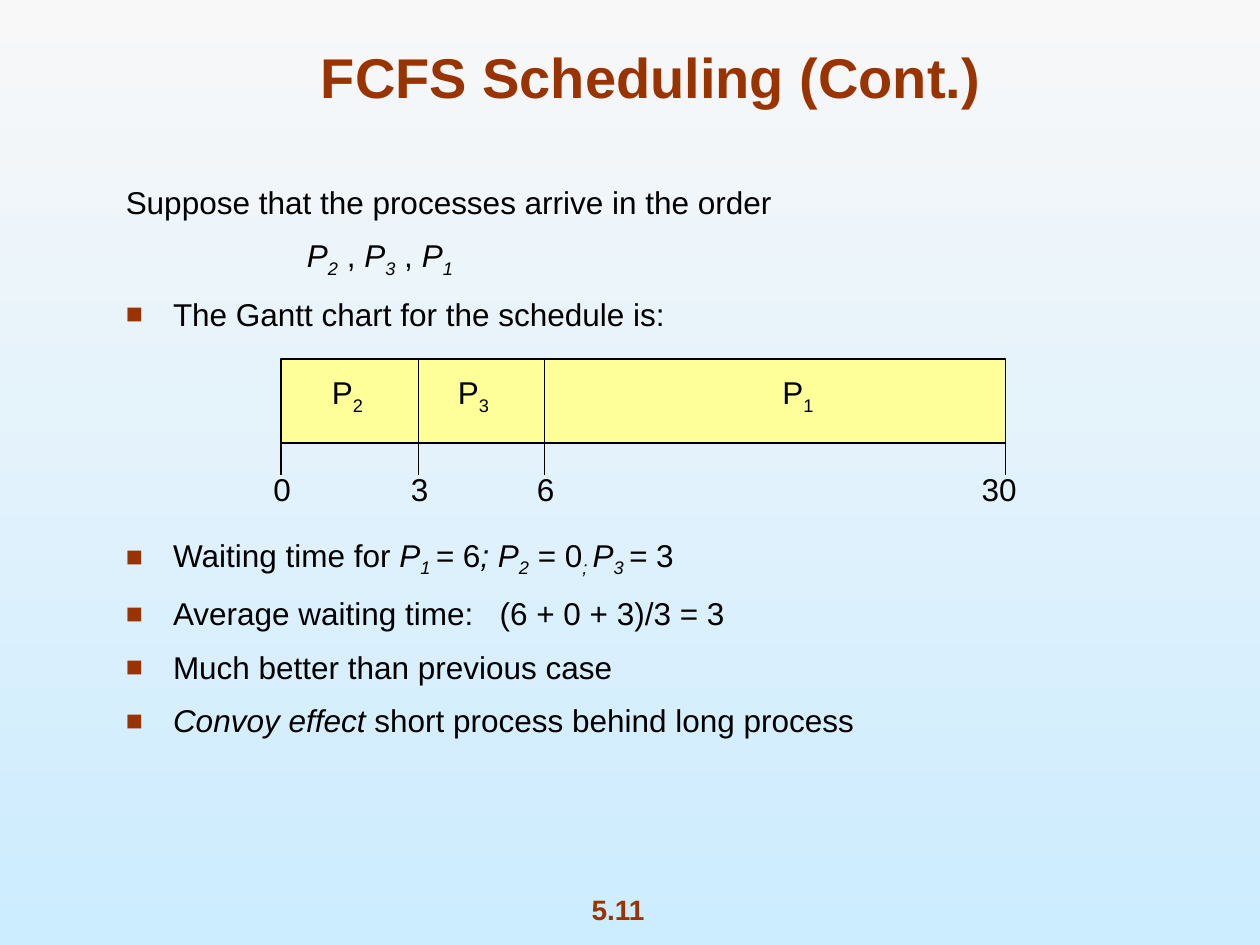
from lxml import etree
from pptx import Presentation
from pptx.dml.color import RGBColor
from pptx.enum.shapes import MSO_CONNECTOR, MSO_SHAPE
from pptx.enum.text import MSO_ANCHOR, PP_ALIGN
from pptx.oxml.ns import qn
from pptx.util import Pt

STRAIGHT = MSO_CONNECTOR.STRAIGHT
RECTANGLE = MSO_SHAPE.RECTANGLE
TOP, MIDDLE, BOTTOM = MSO_ANCHOR.TOP, MSO_ANCHOR.MIDDLE, MSO_ANCHOR.BOTTOM
LEFT, CENTER = PP_ALIGN.LEFT, PP_ALIGN.CENTER

COLORS = {"accent": "993300", "text": "000000", "bar": "FFFF99",
          "sky_top": "F8F8F8", "sky_bottom": "CCECFF"}
FONT = "Arial"
BULLET_INDENT = 27
PARAGRAPH_GAP = 9


def color(name):
    return RGBColor.from_string(COLORS[name])


class SlideBuilder:
    """Holds the text style and the slide being filled; lengths are points."""

    def __init__(self, slide):
        self.slide = slide

    def background(self):
        fill = self.slide.background.fill
        fill.gradient()
        fill.gradient_angle = 270
        for stop, name in zip(fill.gradient_stops, ("sky_top", "sky_bottom")):
            stop.color.rgb = color(name)

    def text_frame(self, left, top, width, height, anchor=TOP, wrap=True):
        box = self.slide.shapes.add_textbox(Pt(left), Pt(top), Pt(width), Pt(height))
        frame = box.text_frame
        frame.word_wrap = wrap
        frame.vertical_anchor = anchor
        return frame

    def fill_paragraph(self, paragraph, runs, size=18, name="text", bold=False, align=LEFT):
        """Fill a paragraph from (text, style) runs; i is italic, s subscript."""
        paragraph.alignment = align
        font = paragraph.font
        font.name, font.size, font.bold = FONT, Pt(size), bold
        font.color.rgb = color(name)
        for text, style in runs:
            run = paragraph.add_run()
            run.text = text
            if "i" in style:
                run.font.italic = True
            if "s" in style:
                run.font._element.set("baseline", "-25000")

    def label(self, center_x, center_y, runs, width=36, height=30, **style):
        frame = self.text_frame(center_x - width / 2, center_y - height / 2,
                                width, height, MIDDLE, wrap=False)
        self.fill_paragraph(frame.paragraphs[0], runs, align=CENTER, **style)

    def title(self, text):
        frame = self.text_frame(54, 18, 636, 48, BOTTOM)
        self.fill_paragraph(frame.paragraphs[0], [(text, "")], 32, "accent", True, CENTER)

    def body(self, top, height, items):
        """Add (runs, left margin) paragraphs; a margin of None makes a bullet."""
        frame = self.text_frame(64.8, top, 579, height)
        for index, (runs, margin) in enumerate(items):
            paragraph = frame.add_paragraph() if index else frame.paragraphs[0]
            if margin is None:
                self.bullet(paragraph)
            else:
                paragraph._p.get_or_add_pPr().set("marL", str(Pt(margin)))
            if index:
                paragraph.space_before = Pt(PARAGRAPH_GAP)
            self.fill_paragraph(paragraph, runs)

    def bullet(self, paragraph):
        properties = paragraph._p.get_or_add_pPr()
        properties.set("marL", str(Pt(BULLET_INDENT)))
        properties.set("indent", str(-Pt(BULLET_INDENT)))
        bullet_color = etree.SubElement(properties, qn("a:buClr"))
        etree.SubElement(bullet_color, qn("a:srgbClr"), val=COLORS["accent"])
        etree.SubElement(properties, qn("a:buSzPct"), val="90000")
        etree.SubElement(properties, qn("a:buFont"), typeface=FONT)
        etree.SubElement(properties, qn("a:buChar"), char="■")

    def bar(self, left, top, width, height):
        shape = self.slide.shapes.add_shape(RECTANGLE, Pt(left), Pt(top),
                                            Pt(width), Pt(height))
        shape.shadow.inherit = False
        shape.fill.solid()
        shape.fill.fore_color.rgb = color("bar")
        shape.line.color.rgb = color("text")
        shape.line.width = Pt(0.75)

    def vertical_line(self, x, top, bottom):
        line = self.slide.shapes.add_connector(STRAIGHT, Pt(x), Pt(top), Pt(x), Pt(bottom))
        line.line.color.rgb = color("text")
        line.line.width = Pt(0.75)
        etree.SubElement(line._element.spPr, qn("a:effectLst"))

    def gantt(self, top, height, times, processes):
        """Draw times as (text, x, label x) and processes as (number, label x)."""
        start, end = times[0][1], times[-1][1]
        bottom = top + height
        self.bar(start, top, end - start, height)
        for number, x in processes:
            self.label(x, top + 20.2, [("P", ""), (number, "s")])
        for _, x, _ in times[1:-1]:
            self.vertical_line(x, top, bottom)
        for text, x, label_x in times:
            self.vertical_line(x, bottom, bottom + 18)
            self.label(label_x, bottom + 26.2, [(text, "")])


def process(number):
    return [("P", "i"), (number, "is")]


def main():
    presentation = Presentation()
    presentation.slide_width, presentation.slide_height = Pt(720), Pt(540)
    builder = SlideBuilder(presentation.slides.add_slide(presentation.slide_layouts[6]))

    builder.background()
    builder.label(353.2, 519.5, [("5.11", "")], width=104, height=27,
                  size=16, name="accent", bold=True)
    builder.title("FCFS Scheduling (Cont.)")

    comma = [(" , ", "")]
    builder.body(100.8, 100, [
        ([("Suppose that the processes arrive in the order", "")], 0),
        (process("2") + comma + process("3") + comma + process("1"), 103.5),
        ([("The Gantt chart for the schedule is:", "")], None),
    ])
    builder.gantt(
        205.2, 48,
        times=[("0", 160.5, 161.3), ("3", 239, 239.8),
               ("6", 311, 311.8), ("30", 574.5, 571)],
        processes=[("2", 198.5), ("3", 270.5), ("1", 456)])

    waiting = ([("Waiting time for ", "")] + process("1 ") + [("=", "i"), (" 6", ""), ("; ", "i")]
               + process("2") + [(" = 0", ""), ("; ", "is")]
               + process("3 ") + [("= ", "i"), ("3", "")])
    builder.body(302.5, 130, [
        (waiting, None),
        ([("Average waiting time:   (6 + 0 + 3)/3 = 3", "")], None),
        ([("Much better than previous case", "")], None),
        ([("Convoy effect", "i"), (" short process behind long process", "")], None),
    ])
    presentation.save("out.pptx")


if __name__ == "__main__":
    main()
